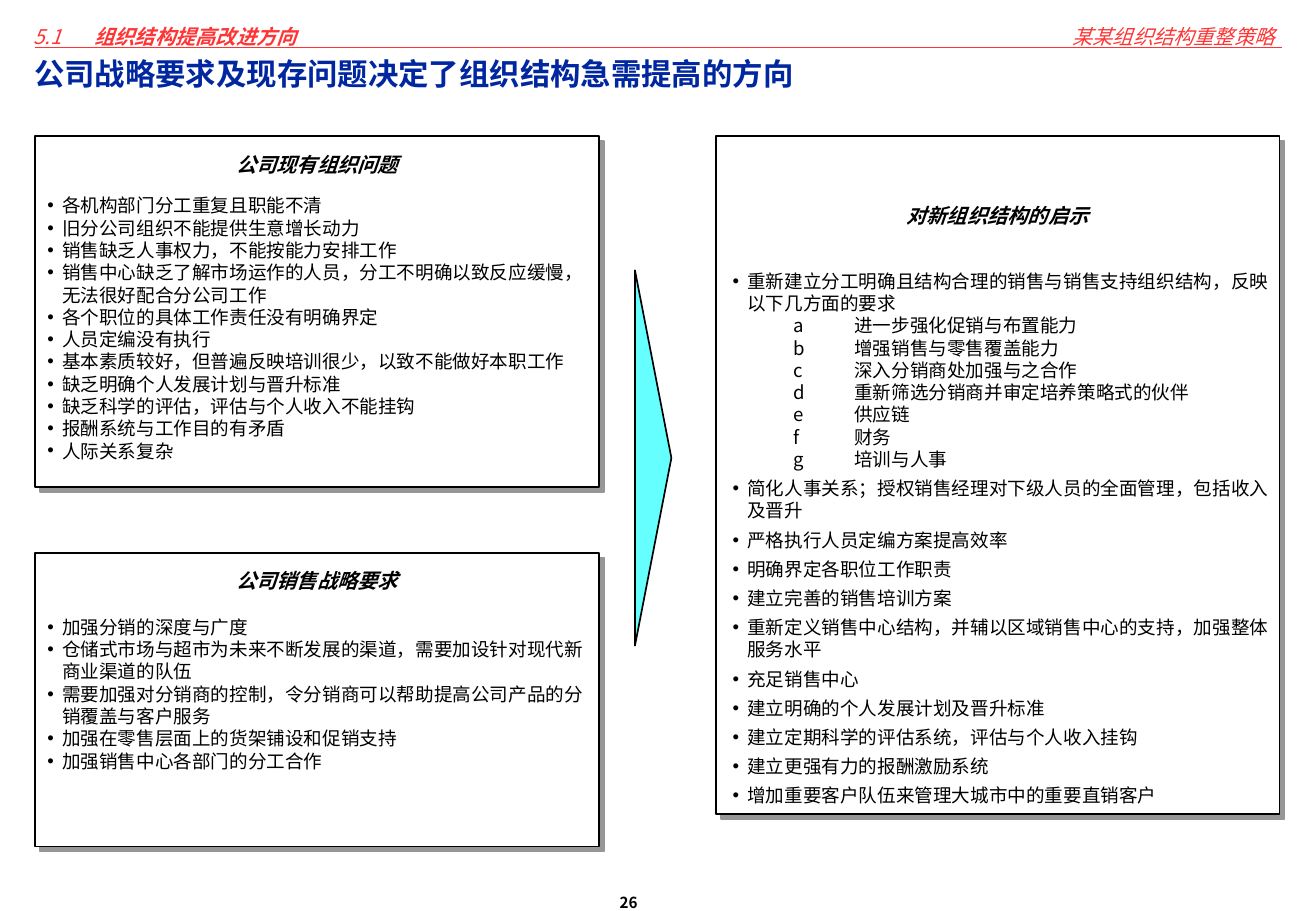
from lxml import etree
from pptx import Presentation
from pptx.dml.color import RGBColor
from pptx.enum.shapes import MSO_CONNECTOR, MSO_SHAPE
from pptx.enum.text import MSO_ANCHOR, MSO_AUTO_SIZE, PP_ALIGN
from pptx.oxml.ns import qn
from pptx.util import Inches, Pt

LEFT, CENTER, RIGHT = PP_ALIGN.LEFT, PP_ALIGN.CENTER, PP_ALIGN.RIGHT
TOP, BOTTOM = MSO_ANCHOR.TOP, MSO_ANCHOR.BOTTOM
BLACK = RGBColor(0x00, 0x00, 0x00)
WHITE = RGBColor(0xFF, 0xFF, 0xFF)
RED = RGBColor(0xFF, 0x34, 0x34)
NAVY = RGBColor(0x00, 0x27, 0x9F)
CYAN = RGBColor(0x66, 0xFF, 0xFF)
GRAY = RGBColor(0x96, 0x96, 0x96)
FONT = "Noto Sans CJK SC"

TITLE = "公司战略要求及现存问题决定了组织结构急需提高的方向"
SECTION_NUMBER, SECTION_NAME = "5.1", "组织结构提高改进方向"
PROJECT = "某某组织结构重整策略"
PAGE_NUMBER = "26"

PROBLEMS = [
    "各机构部门分工重复且职能不清",
    "旧分公司组织不能提供生意增长动力",
    "销售缺乏人事权力，不能按能力安排工作",
    "销售中心缺乏了解市场运作的人员，分工不明确以致反应缓慢，无法很好配合分公司工作",
    "各个职位的具体工作责任没有明确界定",
    "人员定编没有执行",
    "基本素质较好，但普遍反映培训很少，以致不能做好本职工作",
    "缺乏明确个人发展计划与晋升标准",
    "缺乏科学的评估，评估与个人收入不能挂钩",
    "报酬系统与工作目的有矛盾",
    "人际关系复杂",
]
STRATEGY = [
    "加强分销的深度与广度",
    "仓储式市场与超市为未来不断发展的渠道，需要加设针对现代新商业渠道的队伍",
    "需要加强对分销商的控制，令分销商可以帮助提高公司产品的分销覆盖与客户服务",
    "加强在零售层面上的货架铺设和促销支持",
    "加强销售中心各部门的分工合作",
]
IMPLICATIONS = [
    "重新建立分工明确且结构合理的销售与销售支持组织结构，反映以下几方面的要求",
    "a\t进一步强化促销与布置能力",
    "b\t增强销售与零售覆盖能力",
    "c\t深入分销商处加强与之合作",
    "d\t重新筛选分销商并审定培养策略式的伙伴",
    "e\t供应链",
    "f\t财务",
    "g\t培训与人事",
    "简化人事关系；授权销售经理对下级人员的全面管理，包括收入及晋升",
    "严格执行人员定编方案提高效率",
    "明确界定各职位工作职责",
    "建立完善的销售培训方案",
    "重新定义销售中心结构，并辅以区域销售中心的支持，加强整体服务水平",
    "充足销售中心",
    "建立明确的个人发展计划及晋升标准",
    "建立定期科学的评估系统，评估与个人收入挂钩",
    "建立更强有力的报酬激励系统",
    "增加重要客户队伍来管理大城市中的重要直销客户",
]

PANEL_WIDTH, HEADING_WIDTH, HEADING_HEIGHT = 4.64, 2.38, 0.3
PANELS = [
    dict(heading="公司现有组织问题", items=PROBLEMS, left=0.29, top=1.12, height=2.89,
         heading_top=1.2, list_at=(0.29, 1.55, 4.66, 2.3), gap=0),
    dict(heading="公司销售战略要求", items=STRATEGY, left=0.29, top=4.55, height=2.42,
         heading_top=4.63, list_at=(0.29, 5.02, 4.66, 1.39), gap=0),
    dict(heading="对新组织结构的启示", items=IMPLICATIONS, left=5.89, top=1.12, height=5.58,
         heading_top=1.62, list_at=(5.93, 2.17, 4.67, 4.53), gap=4.1),
]


def inches(values):
    return [Inches(value) for value in values]


def place(box, at):
    box.left, box.top, box.width, box.height = inches(at)


def set_bullet(para, level, indent, hanging):
    properties = para._p.get_or_add_pPr()
    properties.set("marL", str(Inches(indent)))
    properties.set("indent", str(Inches(-hanging)))
    if level:
        etree.SubElement(properties, qn("a:buNone"))
    else:
        etree.SubElement(properties, qn("a:buChar"), char="•")


def write(box, paragraphs, size=11, color=BLACK, bold=False, italic=False, align=LEFT,
          anchor=TOP, insets=(0.1, 0.05), spacing=1.2, bullets=False, gap=0, tab=None, wrap=True):
    """Fill a box with paragraphs, each a string or a list of (text, bold) spans."""
    frame = box.text_frame
    frame.word_wrap = wrap
    frame.auto_size = MSO_AUTO_SIZE.NONE
    frame.vertical_anchor = anchor
    frame.margin_left = frame.margin_right = Inches(insets[0])
    frame.margin_top = frame.margin_bottom = Inches(insets[1])
    for index, content in enumerate(paragraphs):
        para = frame.add_paragraph() if index else frame.paragraphs[0]
        nested = bullets and "\t" in content
        if bullets:
            set_bullet(para, nested, 0.5 if nested else 0.12, 0 if nested else 0.12)
            para.level = int(nested)
        if tab and "\t" in "".join(text for text, _ in content) if not bullets else nested:
            tabs = etree.SubElement(para._p.get_or_add_pPr(), qn("a:tabLst"))
            etree.SubElement(tabs, qn("a:tab"), pos=str(Inches(tab)), algn="l")
        para.alignment = align
        para.line_spacing = Pt(round(size * spacing, 1))
        para.space_before = Pt(gap if index and not nested else 0)
        para.space_after = Pt(0)
        spans = [(content, bold)] if isinstance(content, str) else content
        for text, heavy in spans:
            span = para.add_run()
            span.text = text
            font = span.font
            font.name, font.size, font.bold, font.italic = FONT, Pt(size), heavy, italic
            font.color.rgb = color
            font._element.find(qn("a:latin")).addnext(
                etree.Element(qn("a:ea"), typeface=FONT))


def add_text(page, at, paragraphs, **style):
    write(page.shapes.add_textbox(*inches(at)), paragraphs, **style)


def add_outlined(page, kind, at, fill):
    shape = page.shapes.add_shape(kind, *inches(at))
    shape.shadow.inherit = False
    shape.fill.solid()
    shape.fill.fore_color.rgb = fill
    shape.line.color.rgb = BLACK
    shape.line.width = Pt(1)
    return shape


def add_panel(page, panel, body):
    at = (panel["left"], panel["top"], PANEL_WIDTH, panel["height"])
    shape = add_outlined(page, MSO_SHAPE.RECTANGLE, at, WHITE)
    effects = shape._element.spPr.find(qn("a:effectLst"))
    shadow = etree.SubElement(effects, qn("a:outerShdw"), blurRad="0", dist=str(Pt(4.2)),
                              dir="2700000", algn="ctr", rotWithShape="0")
    etree.SubElement(shadow, qn("a:srgbClr"), val=str(GRAY))
    heading_left = panel["left"] + (PANEL_WIDTH - HEADING_WIDTH) / 2
    add_text(page, (heading_left, panel["heading_top"], HEADING_WIDTH, HEADING_HEIGHT),
             [panel["heading"]], size=12, bold=True, italic=True, align=CENTER, anchor=BOTTOM)
    place(body, panel["list_at"])
    page.shapes._spTree.append(body._element)
    write(body, panel["items"], bullets=True, gap=panel["gap"], tab=0.82)


def main():
    deck = Presentation()
    deck.slide_width, deck.slide_height = Inches(10.83), Inches(7.5)
    page = deck.slides.add_slide(deck.slide_layouts.get_by_name("Comparison"))
    title, *bodies = page.placeholders
    spare = bodies.pop()
    spare._element.getparent().remove(spare._element)

    rule = page.shapes.add_connector(MSO_CONNECTOR.STRAIGHT, *inches((0.29, 0.39, 10.55, 0.39)))
    rule.line.color.rgb = RED
    rule.line.width = Pt(1)
    etree.SubElement(rule._element.spPr, qn("a:effectLst"))

    place(title, (0.18, 0.33, 9.88, 0.87))
    write(title, [TITLE], size=18, color=NAVY, bold=True, insets=(0.1, 0.1), spacing=1.3)
    header = dict(size=12, color=RED, italic=True, insets=(0.1, 0.1), spacing=1.3)
    section = [(SECTION_NUMBER + "\t", False), (SECTION_NAME, True)]
    add_text(page, (0.18, 0.08, 3.04, 0.4), [section], tab=0.5, **header)
    add_text(page, (7.55, 0.08, 3.04, 0.4), [PROJECT], align=RIGHT, **header)

    for panel, body in zip(PANELS, bodies):
        add_panel(page, panel, body)
    arrow = add_outlined(page, MSO_SHAPE.ISOSCELES_TRIANGLE, (3.83, 3.62, 3.09, 0.3), CYAN)
    arrow.rotation = 90
    add_text(page, (5.1, 7.34, 0.65, 0.17), [PAGE_NUMBER], size=9, bold=True,
             insets=(0, 0), spacing=1.3, wrap=False)
    deck.save("out.pptx")


if __name__ == "__main__":
    main()
